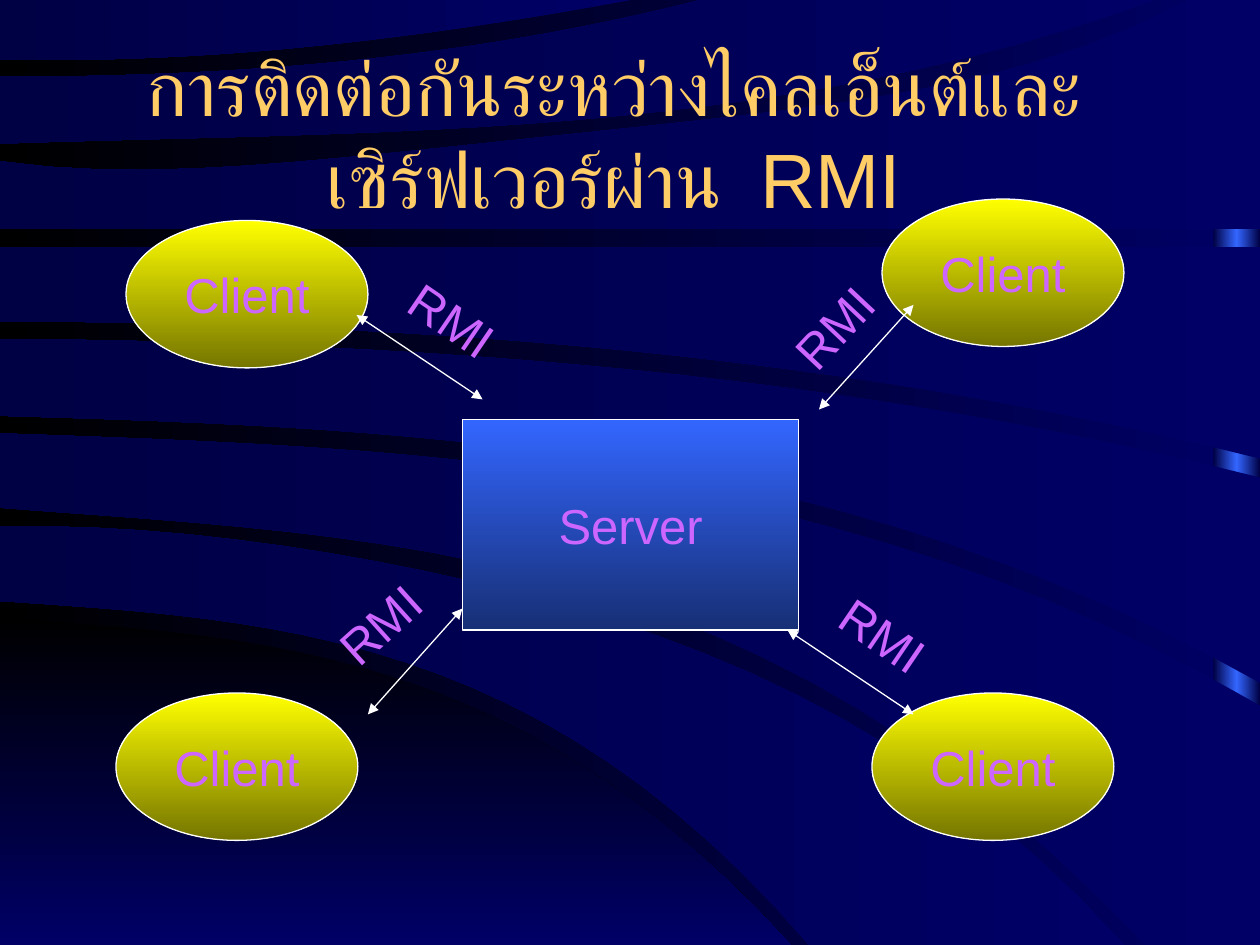
from copy import deepcopy

from lxml import etree
from pptx import Presentation
from pptx.dml.color import RGBColor
from pptx.enum.shapes import MSO_CONNECTOR, MSO_SHAPE
from pptx.enum.text import MSO_ANCHOR, MSO_AUTO_SIZE, PP_ALIGN
from pptx.oxml.ns import qn
from pptx.util import Inches, Pt

RECTANGLE, OVAL = MSO_SHAPE.RECTANGLE, MSO_SHAPE.OVAL
STRAIGHT = MSO_CONNECTOR.STRAIGHT
MIDDLE, CENTER = MSO_ANCHOR.MIDDLE, PP_ALIGN.CENTER
NO_AUTOFIT, FIT_SHAPE = MSO_AUTO_SIZE.NONE, MSO_AUTO_SIZE.SHAPE_TO_FIT_TEXT

BLACK = RGBColor(0x00, 0x00, 0x00)
WHITE = RGBColor(0xFF, 0xFF, 0xFF)
NAVY = RGBColor(0x00, 0x00, 0x66)
DARK_NAVY = RGBColor(0x00, 0x00, 0x44)
BLUE = RGBColor(0x33, 0x66, 0xFF)
DEEP_BLUE = RGBColor(0x17, 0x2F, 0x75)
YELLOW = RGBColor(0xFF, 0xFF, 0x00)
OLIVE = RGBColor(0x75, 0x75, 0x00)
GOLD = RGBColor(0xFF, 0xCC, 0x66)
VIOLET = RGBColor(0xCC, 0x66, 0xFF)

FONT = "Arial"
DOWNWARD, LEFTWARD = 270, 180  # gradient angles, counter-clockwise
WIDTH, HEIGHT = 10, 7.5
CURVE_STEPS = 24

TITLE = "การติดต่อกันระหว่างไคลเอ็นต์และเซิร์ฟเวอร์ผ่าน  RMI"
SERVER = ("Server", 3.67, 3.33, 2.67, 1.67)
CLIENT_SIZE = (1.92, 1.17)
CLIENTS = [("Client", 7, 1.58), ("Client", 0.92, 5.5),
           ("Client", 6.92, 5.5), ("Client", 1, 1.75)]
ARROWS = [(6.5, 3.25, 7.25, 2.42), (6.25, 5, 7.25, 5.67),
          (2.83, 2.5, 3.83, 3.17), (2.92, 5.67, 3.67, 4.83)]
LABEL_SIZE = (0.93, 0.57)
LABELS = [("RMI", 6.55, 4.75, 34.3), ("RMI", 3.13, 2.25, 34.3),
          ("RMI", 2.55, 4.67, 318), ("RMI", 6.15, 2.31, 313.2)]

# Upper and lower edge of each background area: points that its curve runs through
HILL = ([(0, 4.91), (2.18, 5.14), (4.25, 5.86), (6.28, 7.5)], [(0, 7.5), (6.28, 7.5)])
BANDS = [
    ([(0, 4.18), (2.49, 4.37), (4.72, 4.88), (6.87, 5.81), (8.93, 7.5)],
     [(0, 4.77), (2.21, 5), (4.16, 5.65), (6.42, 7.5)]),
    ([(0, 3.44), (3.43, 3.63), (6.93, 4.28), (10, 5.6)],
     [(0, 4.03), (3.11, 4.33), (6.36, 5.37), (9.09, 7.5)]),
    ([(0, 2.69), (3.49, 2.81), (6.62, 3.13), (10, 3.79)],
     [(0, 3.3), (3.51, 3.49), (7.11, 4.18), (10, 5.42)]),
    ([(0, 1.96), (10, 1.96)],
     [(0, 2.55), (3.32, 2.65), (6.62, 2.98), (10, 3.64)]),
    ([(0, 1.28), (3.72, 1.15), (6.84, 0.79), (8.62, 0.36), (9.43, 0)],
     [(0, 1.82), (10, 1.82)]),
    ([(0, 0.61), (1.97, 0.55), (3.83, 0.35), (5.56, 0)],
     [(0, 1.14), (3.41, 1.03), (6.48, 0.71), (9.17, 0)]),
    ([(0, 0), (5.01, 0)],
     [(0, 0.47), (1.73, 0.43), (3.46, 0.25), (5.01, 0)]),
]


def curve_height(knots, x):
    """Return y at x on the polynomial through all knots (Lagrange)."""
    total = 0
    for knot_x, knot_y in knots:
        term = knot_y
        for other_x, _ in knots:
            if other_x != knot_x:
                term *= (x - other_x) / (knot_x - other_x)
        total += term
    return total


def trace_edge(knots):
    end = knots[-1][0]
    steps = CURVE_STEPS if len(knots) > 2 else 1
    positions = [end * step / steps for step in range(steps + 1)]
    return [(x, curve_height(knots, x)) for x in positions]


def set_gradient(fill, colors, angle):
    fill.gradient()
    fill.gradient_angle = angle
    for stop, color, position in zip(fill.gradient_stops, colors, (0, 1)):
        stop.color.rgb = color
        stop.position = position


def write_text(shape, text, size, color):
    frame = shape.text_frame
    frame.text = text
    frame.vertical_anchor = MIDDLE
    frame.word_wrap = False
    paragraph = frame.paragraphs[0]
    paragraph.alignment = CENTER
    font = paragraph.runs[0].font
    font.name, font.size, font.color.rgb = FONT, Pt(size), color
    return frame


def add_band(shapes, edges, colors, angle):
    upper, lower = map(trace_edge, edges)
    corner = []
    if upper[-1][0] < WIDTH == lower[-1][0]:
        corner = [(WIDTH, 0)]
    elif lower[-1][0] < WIDTH == upper[-1][0]:
        corner = [(WIDTH, HEIGHT)]
    points = [(Inches(x), Inches(y)) for x, y in upper + corner + lower[::-1]]
    builder = shapes.build_freeform(*points[0])
    builder.add_line_segments(points[1:], close=True)
    band = builder.convert_to_shape()
    band.shadow.inherit = False
    band.line.fill.background()
    set_gradient(band.fill, colors, angle)


def add_edge_strip(shapes):
    """Add the right-hand strip that glows along its middle."""
    strip = shapes.add_shape(RECTANGLE, Inches(9.63), 0, Inches(0.37), Inches(HEIGHT))
    strip.shadow.inherit = False
    strip.line.fill.background()
    set_gradient(strip.fill, (DARK_NAVY, DARK_NAVY), LEFTWARD)
    first_stop = strip._element.spPr.find(".//" + qn("a:gs"))
    first_stop.addnext(deepcopy(first_stop))
    middle_stop = strip.fill.gradient_stops[1]
    middle_stop.position, middle_stop.color.rgb = 0.5, BLUE


def add_node(shapes, kind, text, box, colors):
    node = shapes.add_shape(kind, *map(Inches, box))
    node.shadow.inherit = False
    set_gradient(node.fill, colors, DOWNWARD)
    node.line.color.rgb, node.line.width = WHITE, Pt(0.75)
    write_text(node, text, 28, VIOLET)


def add_arrow(shapes, ends):
    arrow = shapes.add_connector(STRAIGHT, *map(Inches, ends))
    arrow.line.color.rgb, arrow.line.width = WHITE, Pt(0.75)
    properties = arrow._element.spPr
    for tag in ("a:headEnd", "a:tailEnd"):
        etree.SubElement(properties.find(qn("a:ln")), qn(tag), type="triangle")
    etree.SubElement(properties, qn("a:effectLst"))


def main():
    presentation = Presentation()
    presentation.slide_width, presentation.slide_height = Inches(WIDTH), Inches(HEIGHT)
    slide = presentation.slides.add_slide(presentation.slide_layouts[5])
    shapes = slide.shapes
    set_gradient(slide.background.fill, (NAVY, BLACK), LEFTWARD)

    add_edge_strip(shapes)
    add_band(shapes, HILL, (BLACK, NAVY), DOWNWARD)
    for edges in BANDS:
        add_band(shapes, edges, (NAVY, DARK_NAVY), LEFTWARD)

    title = shapes.title
    title.left, title.top, title.width, title.height = map(Inches, (0.25, 0.42, 9.25, 1.25))
    frame = write_text(title, TITLE, 44, GOLD)
    frame.word_wrap, frame.auto_size = True, NO_AUTOFIT
    shapes._spTree.append(title._element)  # bring in front of the bands

    add_node(shapes, RECTANGLE, SERVER[0], SERVER[1:], (BLUE, DEEP_BLUE))
    for text, left, top in CLIENTS:
        add_node(shapes, OVAL, text, (left, top, *CLIENT_SIZE), (YELLOW, OLIVE))
    for ends in ARROWS:
        add_arrow(shapes, ends)
    for text, left, top, angle in LABELS:
        label = shapes.add_textbox(*map(Inches, (left, top, *LABEL_SIZE)))
        label.rotation = angle
        write_text(label, text, 28, VIOLET).auto_size = FIT_SHAPE

    presentation.save("out.pptx")


if __name__ == "__main__":
    main()
